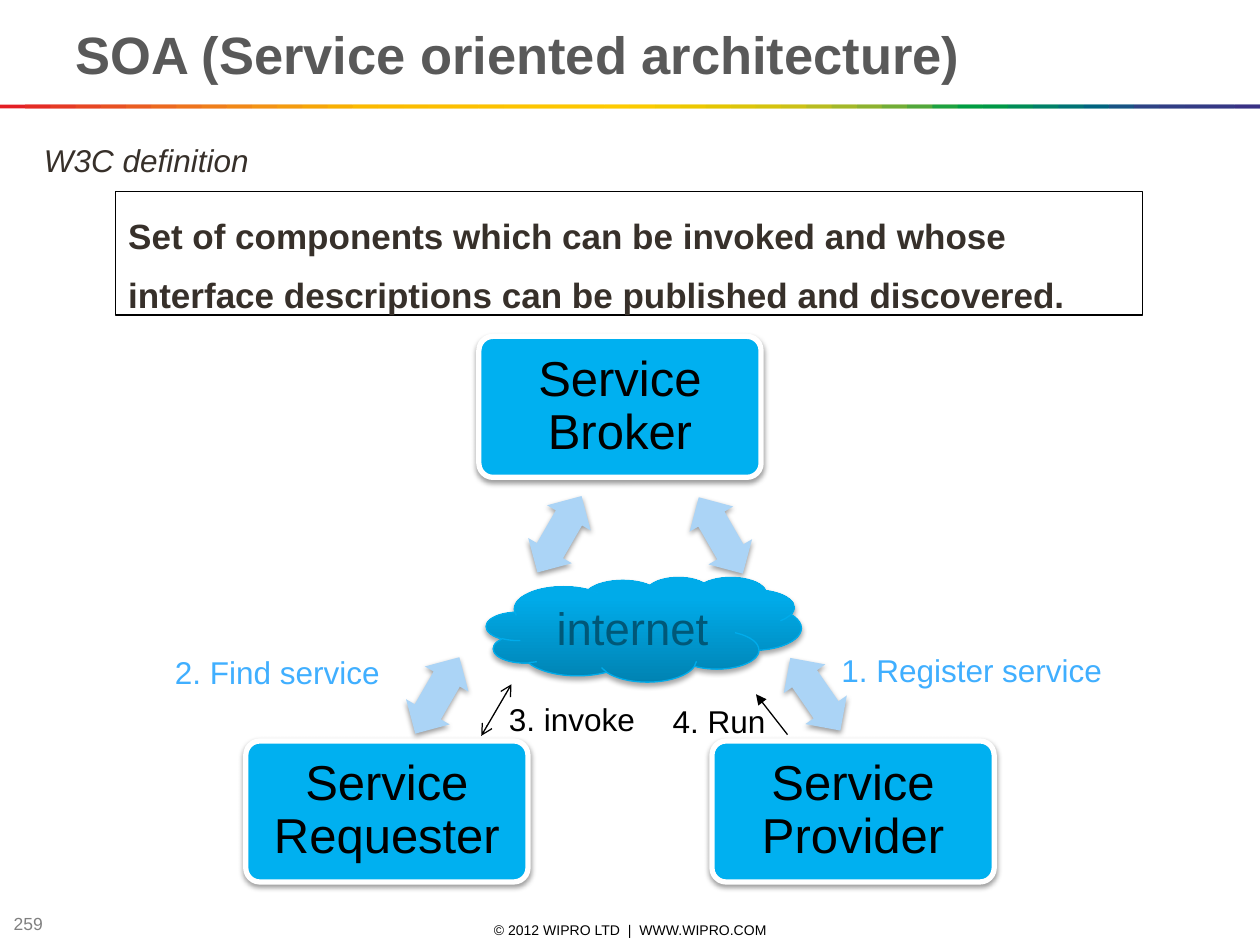
import pptx
import pptx.util
import pptx.dml.color
import pptx.enum.shapes
import pptx.enum.text
import pptx.oxml
import pptx.oxml.ns

Pt = pptx.util.Pt
RGB = pptx.dml.color.RGBColor
KIND = pptx.enum.shapes.MSO_SHAPE
LINK = pptx.enum.shapes.MSO_CONNECTOR
ALIGN = pptx.enum.text.PP_ALIGN
ANCHOR = pptx.enum.text.MSO_ANCHOR
qn = pptx.oxml.ns.qn

BLACK = RGB(0, 0, 0)
WHITE = RGB(255, 255, 255)
GREY = RGB(0x80, 0x80, 0x80)
SLATE = RGB(0x59, 0x59, 0x59)
BROWN = RGB(0x37, 0x30, 0x2A)
CYAN = RGB(0x00, 0xB0, 0xF0)
PALE = RGB(0xAB, 0xD4, 0xF6)
SKY = RGB(0x40, 0xAF, 0xFF)
DEEP = RGB(0x00, 0x83, 0xB3)
BRIGHT = RGB(0x00, 0xAB, 0xE9)
EDGE = RGB(0x00, 0xAC, 0xEB)
TEAL = RGB(0x00, 0x58, 0x78)
RAINBOW = [RGB.from_string(code) for code in """
E31E24 E42C24 E53A24 E74623 E85122 EA5D21 EC691F EE741D EF7E1A F18817
F39314 F49C0F F6A607 F8B002 FBBA00 FBBB00 FBBD00 FCBF00 FCC000 FCC200
FDC400 FDC600 FDC700 FEC900 FECB00 FBCB00 F3CA00 ECC800 E4C602 DCC50A
D5C30E CCC117 B8BC21 A3B829 8CB230 71AD36 51A73B 1DA240 009D43 009846
008C57 008068 007275 00637F 185384 2E4285 313E85 333B85 353885 393185
""".split()]


def write(shape, text, size, color, bold=None, italic=None, align=ALIGN.LEFT,
          anchor=ANCHOR.TOP, wrap=True, space=None):
    frame = shape.text_frame
    frame.word_wrap = wrap
    frame.vertical_anchor = anchor
    para = frame.paragraphs[0]
    para.text = text
    para.alignment = align
    para.line_spacing = space
    font = para.font
    font.name = "Arial"
    font.size = Pt(size)
    font.color.rgb = color
    font.bold = bold
    font.italic = italic
    return frame


def label(slide, box, text, size, color, **style):
    shape = slide.shapes.add_textbox(*map(Pt, box))
    return write(shape, text, size, color, **style)


def draw(slide, kind, box, fill=None, line=None, width=0.75):
    shape = slide.shapes.add_shape(kind, *map(Pt, box))
    shape.shadow.inherit = False
    if fill is None:
        shape.fill.background()
    else:
        shape.fill.solid()
        shape.fill.fore_color.rgb = fill
    if line is None:
        shape.line.fill.background()
    else:
        shape.line.color.rgb = line
        shape.line.width = Pt(width)
    return shape


def shade(shape, alpha, drop):
    effects = shape.element.spPr.find(qn("a:effectLst"))
    effects.append(pptx.oxml.parse_xml(
        f'<a:outerShdw {pptx.oxml.ns.nsdecls("a")} blurRad="{Pt(3.1)}" '
        f'dist="{Pt(drop)}" dir="5400000" rotWithShape="0">'
        f'<a:srgbClr val="000000"><a:alpha val="{alpha * 1000}"/></a:srgbClr>'
        '</a:outerShdw>'))


def node(slide, box, text):
    shape = draw(slide, KIND.ROUNDED_RECTANGLE, box, CYAN, WHITE, 3)
    shape.adjustments[0] = 0.1
    shade(shape, 38, 1.6)
    frame = write(shape, text, 28, BLACK, align=ALIGN.CENTER,
                  anchor=ANCHOR.MIDDLE, space=0.9)
    frame.margin_left = frame.margin_right = Pt(10.8)
    frame.margin_top = frame.margin_bottom = Pt(10.8)


def arrow(slide, box, turn):
    shape = draw(slide, KIND.LEFT_RIGHT_ARROW, box, PALE)
    shape.adjustments[0] = 0.6
    shape.adjustments[1] = 0.5
    shape.rotation = turn
    shade(shape, 38, 1.6)


def cloud(slide, box, text):
    shape = draw(slide, KIND.CLOUD, box, line=EDGE)
    shape.fill.gradient()
    shape.fill.gradient_angle = 90
    for stop, color, place in zip(shape.fill.gradient_stops, (DEEP, BRIGHT), (0, 0.8)):
        stop.color.rgb = color
        stop.position = place
    shade(shape, 35, 1.8)
    write(shape, text, 26, TEAL, align=ALIGN.CENTER, anchor=ANCHOR.MIDDLE)


def line(slide, ends, tips):
    link = slide.shapes.add_connector(LINK.STRAIGHT, *map(Pt, ends))
    link.line.color.rgb = BLACK
    link.line.width = Pt(0.75)
    stroke = link.line._get_or_add_ln()
    for tag, tip in tips:
        end = stroke.makeelement(qn(tag), {"type": tip})
        stroke.append(end)
    props = link.element.spPr
    props.append(props.makeelement(qn("a:effectLst"), {}))


def head(slide, x, y, w, h):
    step = w / len(RAINBOW)
    for i, color in enumerate(RAINBOW):
        wide = min(2 * step, w - i * step)
        draw(slide, KIND.RECTANGLE, (x + i * step, y + h - 2.2, wide, 2.2), color)
    label(slide, (x + 36, y + 8.6, w - 72, 44), "SOA (Service oriented architecture)",
          30, SLATE, bold=True, anchor=ANCHOR.MIDDLE)


def quote(slide, x, y, w, h):
    label(slide, (x, y, 132.5, 28.8), "W3C definition", 18, BROWN, italic=True, wrap=False)
    shape = draw(slide, KIND.RECTANGLE, (x + 48.2, y + 32.4, w - 48.2, h - 32.4), line=BLACK)
    write(shape, "Set of components which can be invoked and whose interface "
          "descriptions can be published and discovered.",
          20, BROWN, bold=True, space=1.4)


def graph(slide, x, y, w, h):
    wide, high = 161.3, 80.6
    mid = x + 261.4
    for side, top, text in ((0, y, "Service Broker"),
                            (1, y + h - high, "Service Provider"),
                            (-1, y + h - high, "Service Requester")):
        node(slide, (mid + side * 133.2 - wide / 2, top, wide, high), text)
    for left, top, turn in ((293.8, 99.4, 60), (347.8, 190.1, 235.4),
                            (201.6, 98.7, 300), (131.8, 190.8, 300)):
        arrow(slide, (x + left, y + top, 50.4, 28.8), turn)
    cloud(slide, (x + 185, y + 137.6, 180, 59.8), "internet")
    line(slide, (x + 357.1, y + 227.6, x + 339.1, y + 204.5), [("a:tailEnd", "triangle")])
    line(slide, (x + 182.1, y + 228.3, x + 199.4, y + 198.8),
         [("a:headEnd", "arrow"), ("a:tailEnd", "arrow")])
    for left, top, span, text, color in (
            (w - 167.8, 176.4, 167.8, "1. Register service", SKY),
            (0, 177.2, 141.8, "2. Find service", SKY),
            (190.8, 204.5, 88.6, "3. invoke", BLACK),
            (284.4, 205.2, 78.5, "4. Run", BLACK)):
        label(slide, (x + left, y + top, span, 28.8), text, 18, color)


def foot(slide, x, y, w, h):
    label(slide, (x + 0.7, y, 54, 15), "259", 10, GREY, anchor=ANCHOR.MIDDLE)
    label(slide, (x + 246.2, y + h - 11.5, 228.2, 11.5),
          "© 2012 WIPRO LTD  |  WWW.WIPRO.COM", 8, BLACK,
          align=ALIGN.CENTER, anchor=ANCHOR.MIDDLE)


def main():
    deck = pptx.Presentation()
    deck.slide_width = Pt(720)
    deck.slide_height = Pt(540)
    slide = deck.slides.add_slide(deck.slide_layouts[6])
    foot(slide, 0, 520, 720, 17)
    head(slide, 0, 0, 720, 62)
    quote(slide, 18, 77, 635, 103)
    graph(slide, 92.9, 192.2, 548.6, 311.8)
    deck.save("out.pptx")


if __name__ == "__main__":
    main()
